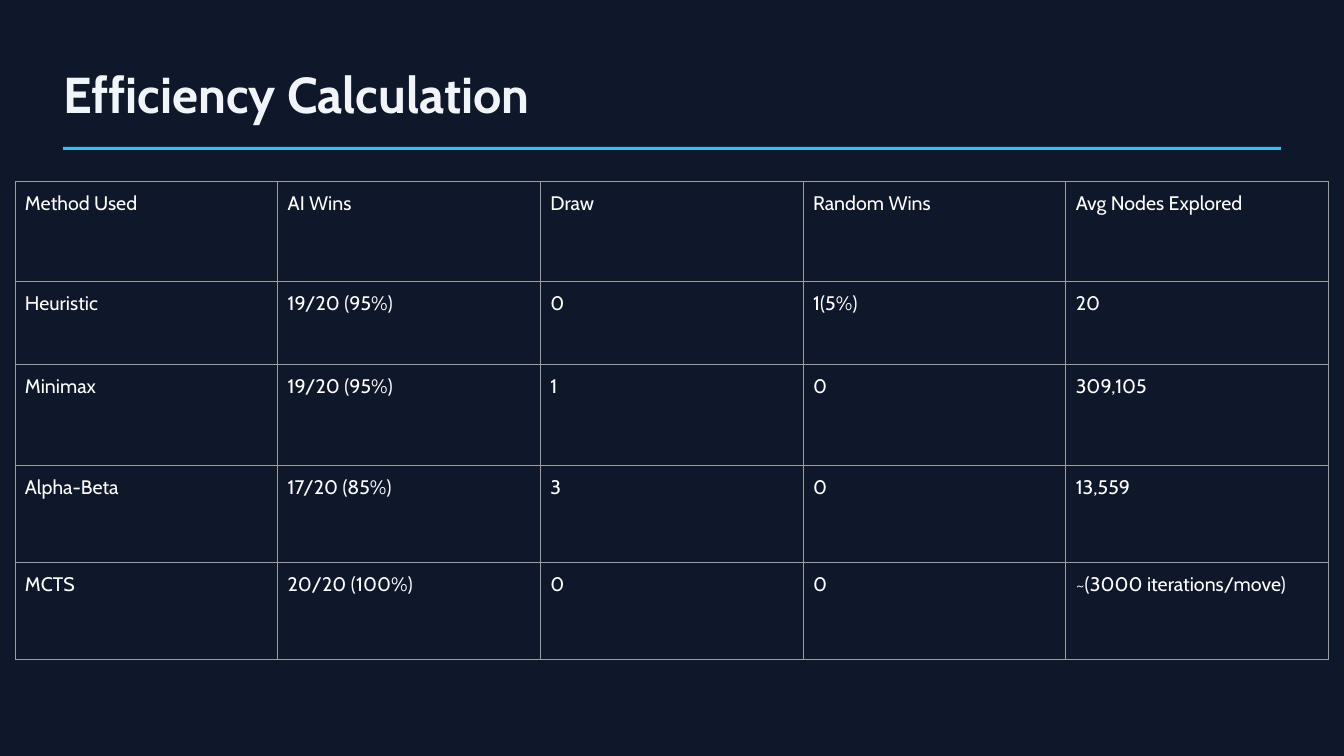
from lxml.etree import SubElement
from pptx import Presentation
from pptx.dml.color import RGBColor
from pptx.enum.shapes import MSO_SHAPE
from pptx.enum.text import MSO_AUTO_SIZE
from pptx.oxml.ns import qn
from pptx.util import Cm, Pt

COLORS = {
    "background": "0F172A",
    "title": "F1F5F9",
    "accent": "38BDF8",
    "body": "FFFFFF",
    "border": "9E9E9E",
}
RESULTS = [
    ["Method Used", "AI Wins", "Draw", "Random Wins", "Avg Nodes Explored"],
    ["Heuristic", "19/20 (95%)", "0", "1(5%)", "20"],
    ["Minimax", "19/20 (95%)", "1", "0", "309,105"],
    ["Alpha-Beta", "17/20 (85%)", "3", "0", "13,559"],
    ["MCTS", "20/20 (100%)", "0", "0", "~(3000 iterations/move)"],
]
ROW_HEIGHTS = [2.52, 2.1, 2.54, 2.44, 2.44]
COLUMN_WIDTH = 6.62


class SlideBuilder:
    """Draw styled elements on one slide."""

    font = "Cabin"

    def __init__(self, slide):
        self.slide = slide
        background = slide.background.fill
        background.solid()
        background.fore_color.rgb = self.color("background")

    def color(self, role):
        return RGBColor.from_string(COLORS[role])

    def add_text(self, frame, text, size, role, bold=False):
        run = frame.paragraphs[0].add_run()
        run.text = text
        run.font.name = self.font
        run.font.size = Pt(size)
        run.font.bold = bold
        run.font.color.rgb = self.color(role)

    def title(self, text, left, top, width, height):
        box = self.slide.shapes.add_textbox(Cm(left), Cm(top), Cm(width), Cm(height))
        frame = box.text_frame
        frame.word_wrap = True
        frame.auto_size = MSO_AUTO_SIZE.SHAPE_TO_FIT_TEXT
        frame.margin_left = frame.margin_right = 0
        frame.margin_top = frame.margin_bottom = 0
        self.add_text(frame, text, 36, "title", bold=True)

    def rule(self, left, top, width, height):
        bar = self.slide.shapes.add_shape(
            MSO_SHAPE.RECTANGLE, Cm(left), Cm(top), Cm(width), Cm(height)
        )
        bar.shadow.inherit = False
        bar.fill.solid()
        bar.fill.fore_color.rgb = self.color("accent")
        bar.line.fill.background()

    def border(self, cell):
        properties = cell._tc.get_or_add_tcPr()
        for side in ("a:lnL", "a:lnR", "a:lnT", "a:lnB"):
            edge = SubElement(properties, qn(side), w=str(Pt(0.75)))
            fill = SubElement(edge, qn("a:solidFill"))
            SubElement(fill, qn("a:srgbClr"), val=COLORS["border"])

    def table(self, rows, left, top, column_width, row_heights):
        column_count = len(rows[0])
        table = self.slide.shapes.add_table(
            len(rows), column_count, Cm(left), Cm(top),
            Cm(column_width * column_count), Cm(sum(row_heights)),
        ).table
        table.first_row = table.horz_banding = False
        for column in table.columns:
            column.width = Cm(column_width)
        for row, height, values in zip(table.rows, row_heights, rows):
            row.height = Cm(height)
            for cell, value in zip(row.cells, values):
                cell.margin_left = cell.margin_right = Cm(0.25)
                cell.margin_top = cell.margin_bottom = Cm(0.25)
                self.border(cell)
                cell.fill.background()
                self.add_text(cell.text_frame, value, 14, "body")


def main():
    deck = Presentation()
    deck.slide_width, deck.slide_height = Cm(33.87), Cm(19.05)
    builder = SlideBuilder(deck.slides.add_slide(deck.slide_layouts[6]))
    builder.title("Efficiency Calculation", 1.59, 1.59, 32.23, 1.54)
    builder.rule(1.59, 3.7, 30.69, 0.08)
    builder.table(RESULTS, 0.38, 4.57, COLUMN_WIDTH, ROW_HEIGHTS)
    deck.save("out.pptx")


if __name__ == "__main__":
    main()
